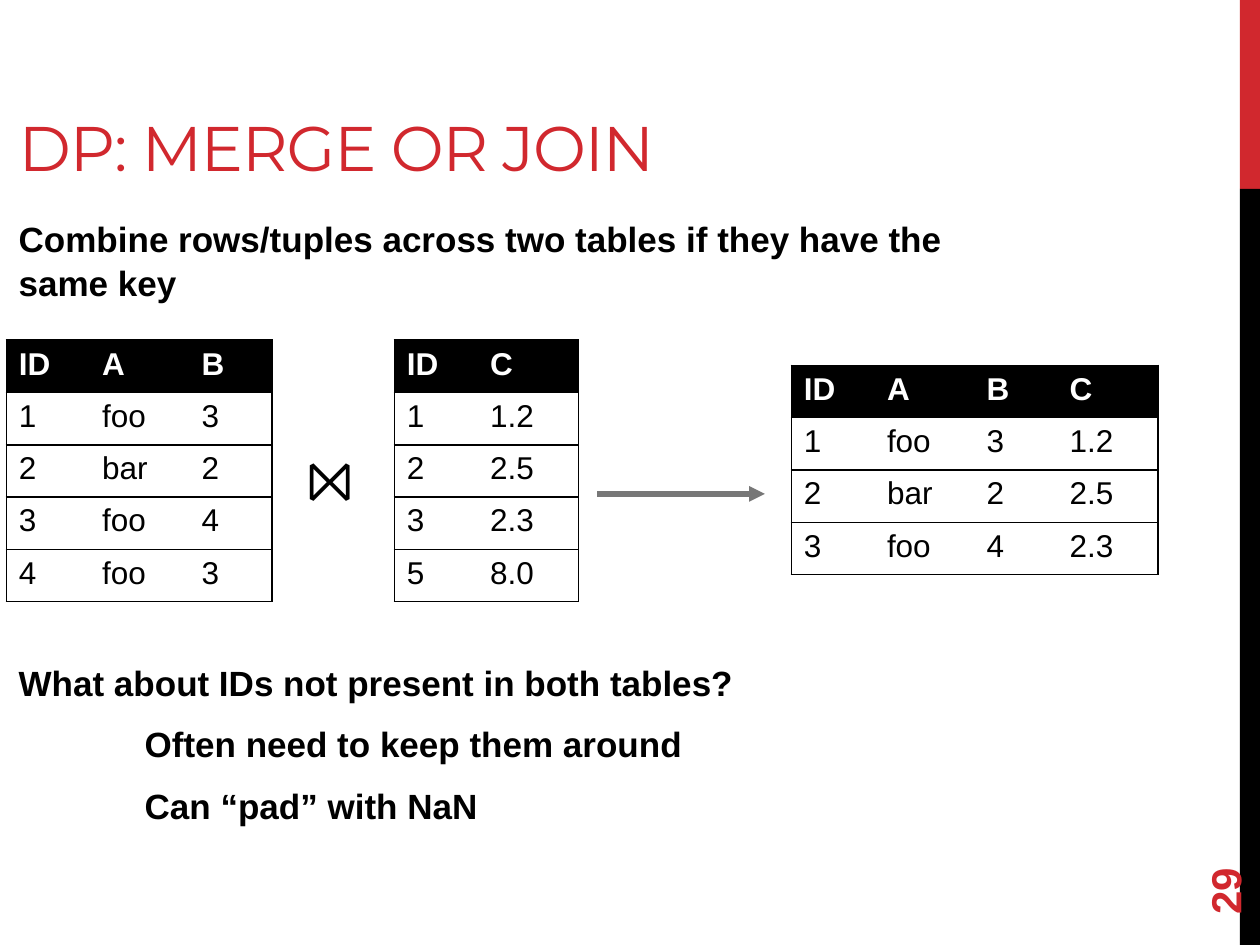
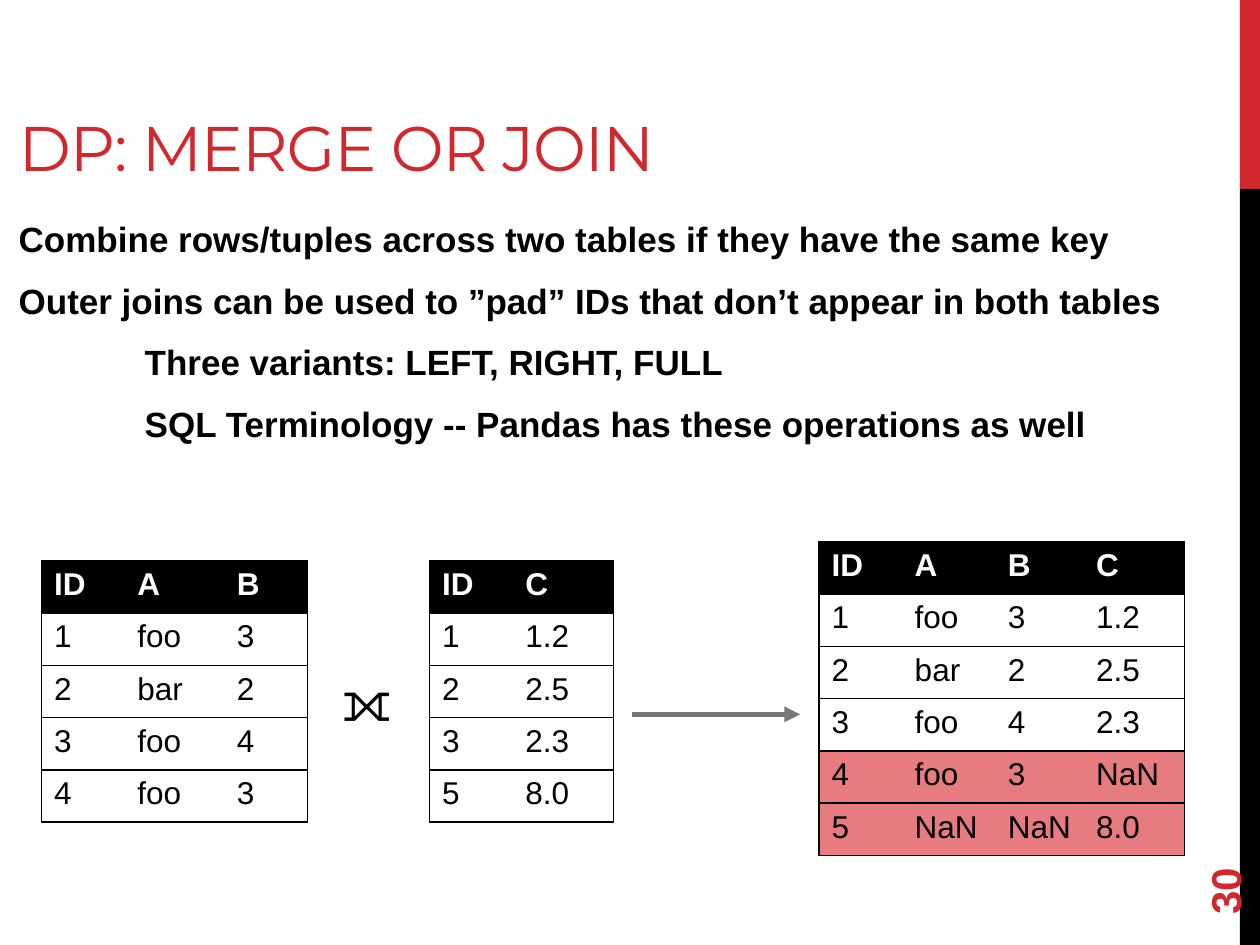
import dataclasses

import lxml.etree
import pptx
import pptx.dml.color
import pptx.enum.shapes
import pptx.enum.text
import pptx.oxml.ns
import pptx.util

Inches = pptx.util.Inches
Pt = pptx.util.Pt
qn = pptx.oxml.ns.qn


@dataclasses.dataclass(frozen=True)
class Theme:
    """Colours, fonts and type sizes shared by the slides."""
    accent: str = "D1282E"
    ink: str = "000000"
    paper: str = "FFFFFF"
    arrow: str = "777777"
    padded: str = "E67C7F"
    title_font: str = "Montserrat"
    body_font: str = "Arial"
    title_size: int = 36
    symbol_size: int = 32
    number_size: int = 24
    body_size: int = 20
    cell_size: int = 18


THEME = Theme()
ROW_HEIGHT = 0.83 / 2
LEFT_ROWS = [["1", "foo", "3"], ["2", "bar", "2"], ["3", "foo", "4"], ["4", "foo", "3"]]
RIGHT_ROWS = [["1", "1.2"], ["2", "2.5"], ["3", "2.3"], ["5", "8.0"]]
INNER_ROWS = [["1", "foo", "3", "1.2"], ["2", "bar", "2", "2.5"], ["3", "foo", "4", "2.3"]]
PADDED_ROWS = [["4", "foo", "3", "NaN"], ["5", "NaN", "NaN", "8.0"]]


def rgb(code):
    """Return the colour object for a hex code."""
    return pptx.dml.color.RGBColor.from_string(code)


def add_run(p, text, size, color=THEME.ink, bold=False, font=THEME.body_font):
    """Append a formatted run to a paragraph."""
    r = p.add_run()
    r.text = text
    r.font.name = font
    r.font.size = Pt(size)
    r.font.bold = bold
    r.font.color.rgb = rgb(color)
    return r


def add_textbox(s, x, y, w, h):
    """Add a wrapping text box and return its shape."""
    sp = s.shapes.add_textbox(Inches(x), Inches(y), Inches(w), Inches(h))
    sp.text_frame.word_wrap = True
    return sp


def add_side_band(s, x, w, split, bottom):
    """Draw the two-colour band on the right edge."""
    for top, end, color in ((0, split, THEME.accent), (split, bottom, THEME.ink)):
        sp = s.shapes.add_shape(pptx.enum.shapes.MSO_SHAPE.RECTANGLE,
                                Inches(x), Inches(top), Inches(w), Inches(end - top))
        sp.shadow.inherit = False
        sp.fill.solid()
        sp.fill.fore_color.rgb = rgb(color)
        sp.line.fill.background()


def add_title(s, text, x, y, w, h):
    """Place and format the title placeholder."""
    sp = s.shapes.title
    sp.left, sp.top, sp.width, sp.height = map(Inches, (x, y, w, h))
    tf = sp.text_frame
    tf.auto_size = pptx.enum.text.MSO_AUTO_SIZE.NONE
    tf.vertical_anchor = pptx.enum.text.MSO_ANCHOR.BOTTOM
    tf.margin_bottom = Inches(0.03)
    p = tf.paragraphs[0]
    p.alignment = pptx.enum.text.PP_ALIGN.LEFT
    r = add_run(p, text, THEME.title_size, THEME.accent, font=THEME.title_font)
    r._r.get_or_add_rPr().set("spc", "-60")


def add_page_number(s, number, x, y, w, h):
    """Add the page number, turned to read upwards."""
    sp = add_textbox(s, x, y, w, h)
    sp.rotation = 270
    sp.text_frame.vertical_anchor = pptx.enum.text.MSO_ANCHOR.MIDDLE
    add_run(sp.text_frame.paragraphs[0], str(number), THEME.number_size, THEME.accent, True)


def add_statements(s, x, y, w, h, statements):
    """Add bold statements given as (indent level, text)."""
    tf = add_textbox(s, x, y, w, h).text_frame
    tf.margin_top = Inches(0.07)
    for i, (level, text) in enumerate(statements):
        p = tf.add_paragraph() if i else tf.paragraphs[0]
        p._p.get_or_add_pPr().set("marL", str(Inches(level)))
        p.line_spacing = 1.05
        p.space_before = Pt(4 if i else 0)
        p.space_after = Pt(6)
        add_run(p, text, THEME.body_size, bold=True)


def set_borders(cell, sides):
    """Rule the named sides of a cell and clear the others."""
    tc_pr = cell._tc.get_or_add_tcPr()
    for side in "LRTB":
        ln = lxml.etree.SubElement(tc_pr, qn(f"a:ln{side}"), w=str(Pt(1)))
        if side in sides:
            fill = lxml.etree.SubElement(ln, qn("a:solidFill"))
            lxml.etree.SubElement(fill, qn("a:srgbClr"), val=THEME.ink)
        else:
            lxml.etree.SubElement(ln, qn("a:noFill"))


def add_data_table(s, x, y, widths, header, rows, padded=()):
    """Add a table with a dark header and tinted padded rows."""
    grid = [header, *rows, *padded]
    table = s.shapes.add_table(len(grid), len(header), Inches(x), Inches(y),
                               Inches(sum(widths)), Inches(ROW_HEIGHT * len(grid))).table
    table.first_row = table.horz_banding = False
    for column, width in zip(table.columns, widths):
        column.width = Inches(width)
    for i, values in enumerate(grid):
        table.rows[i].height = Inches(ROW_HEIGHT)
        fill = THEME.ink if i == 0 else THEME.padded if i > len(rows) else THEME.paper
        for j, value in enumerate(values):
            cell = table.cell(i, j)
            set_borders(cell, "TB" + "L" * (j == 0) + "R" * (j == len(header) - 1))
            cell.fill.solid()
            cell.fill.fore_color.rgb = rgb(fill)
            add_run(cell.text_frame.paragraphs[0], value, THEME.cell_size,
                    THEME.ink if i else THEME.paper, i == 0)


def add_arrow(s, x, y, length):
    """Add a horizontal arrow pointing right."""
    line = s.shapes.add_connector(pptx.enum.shapes.MSO_CONNECTOR.STRAIGHT,
                                  Inches(x), Inches(y), Inches(x + length), Inches(y))
    line.line.color.rgb = rgb(THEME.arrow)
    line.line.width = Pt(3)
    lxml.etree.SubElement(line.line._get_or_add_ln(), qn("a:tailEnd"), type="triangle")
    lxml.etree.SubElement(line._element.spPr, qn("a:effectLst"))


def add_join(s, x, y, symbol, result_at, result_widths, padded=()):
    """Draw two tables, the join symbol, an arrow and the joined table."""
    add_data_table(s, x, y, (0.66, 0.79, 0.66), ["ID", "A", "B"], LEFT_ROWS)
    tf = add_textbox(s, x + 2.29, y + 0.78, 0.73, 0.64).text_frame
    add_run(tf.paragraphs[0], symbol, THEME.symbol_size)
    add_data_table(s, x + 3.08, y, (0.66, 0.8), ["ID", "C"], RIGHT_ROWS)
    add_arrow(s, x + 4.69, y + 1.22, 1.33)
    dx, dy = result_at
    add_data_table(s, x + dx, y + dy, result_widths, ["ID", "A", "B", "C"], INNER_ROWS, padded)


def add_slide(prs, number):
    """Add a slide with the shared title, band and page number."""
    s = prs.slides.add_slide(prs.slide_layouts[5])
    add_side_band(s, 9.84, 0.16, 1.5, 7.5)
    add_title(s, "DP: MERGE OR JOIN", 0.05, -0.01, 9.64, 1.5)
    add_page_number(s, number, 9, 6.44, 1.44, 0.4)
    return s


def build_inner_join(prs):
    """Build the slide on the inner join."""
    s = add_slide(prs, 29)
    add_statements(s, 0.05, 1.64, 7.97, 0.82, [
        (0, "Combine rows/tuples across two tables if they have the same key")])
    add_join(s, 0.05, 2.7, "⨝", (6.23, 0.2), (0.66, 0.79, 0.66, 0.8))
    add_statements(s, 0.05, 5.16, 7.97, 1.94, [
        (0, "What about IDs not present in both tables?"),
        (1, "Often need to keep them around"),
        (1, "Can “pad” with NaN")])


def build_outer_join(prs):
    """Build the slide on the outer join."""
    s = add_slide(prs, 30)
    add_statements(s, 0.05, 1.64, 9.64, 2.08, [
        (0, "Combine rows/tuples across two tables if they have the same key"),
        (0, "Outer joins can be used to ”pad” IDs that don’t appear in both tables"),
        (1, "Three variants: LEFT, RIGHT, FULL"),
        (1, "SQL Terminology -- Pandas has these operations as well")])
    add_join(s, 0.33, 4.45, "⟗", (6.17, -0.15), (0.66, 0.74, 0.7, 0.8), PADDED_ROWS)


def main():
    """Build and save the presentation."""
    prs = pptx.Presentation()
    prs.slide_width, prs.slide_height = Inches(10), Inches(7.5)
    build_inner_join(prs)
    build_outer_join(prs)
    prs.save("out.pptx")


if __name__ == "__main__":
    main()
